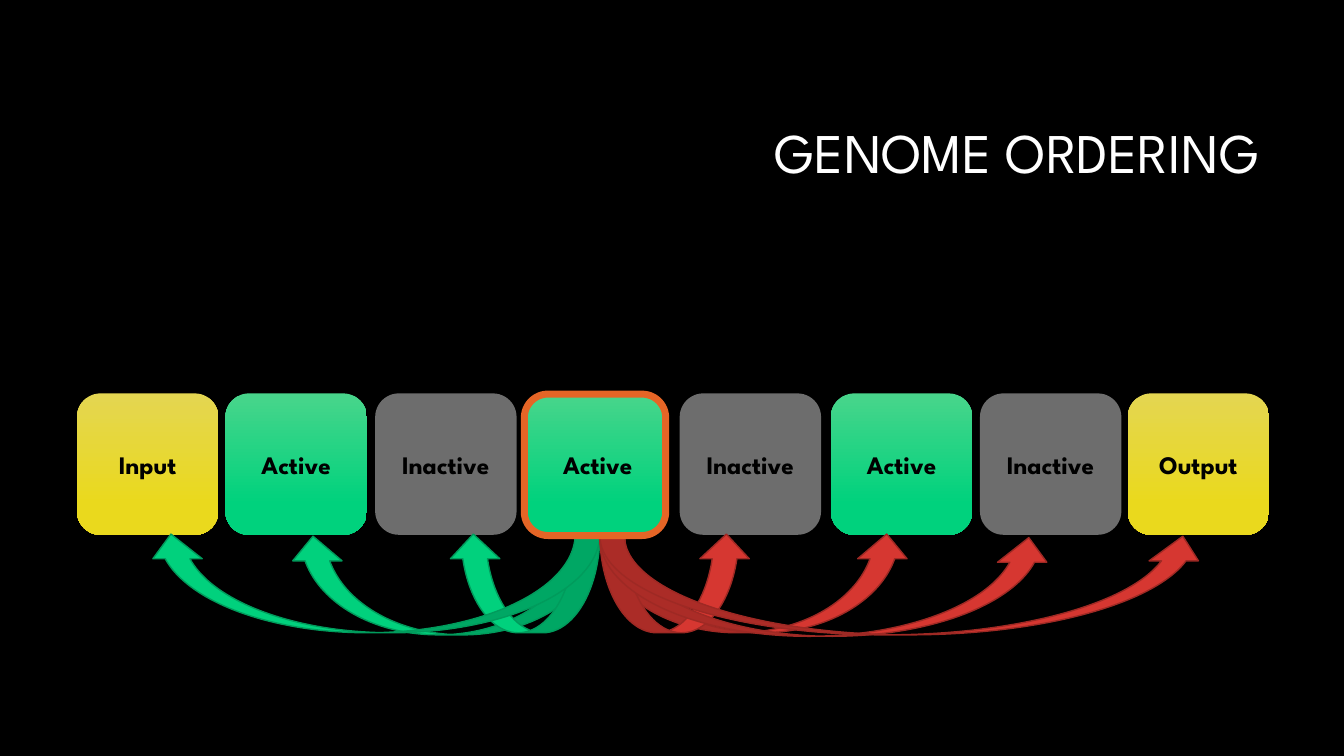
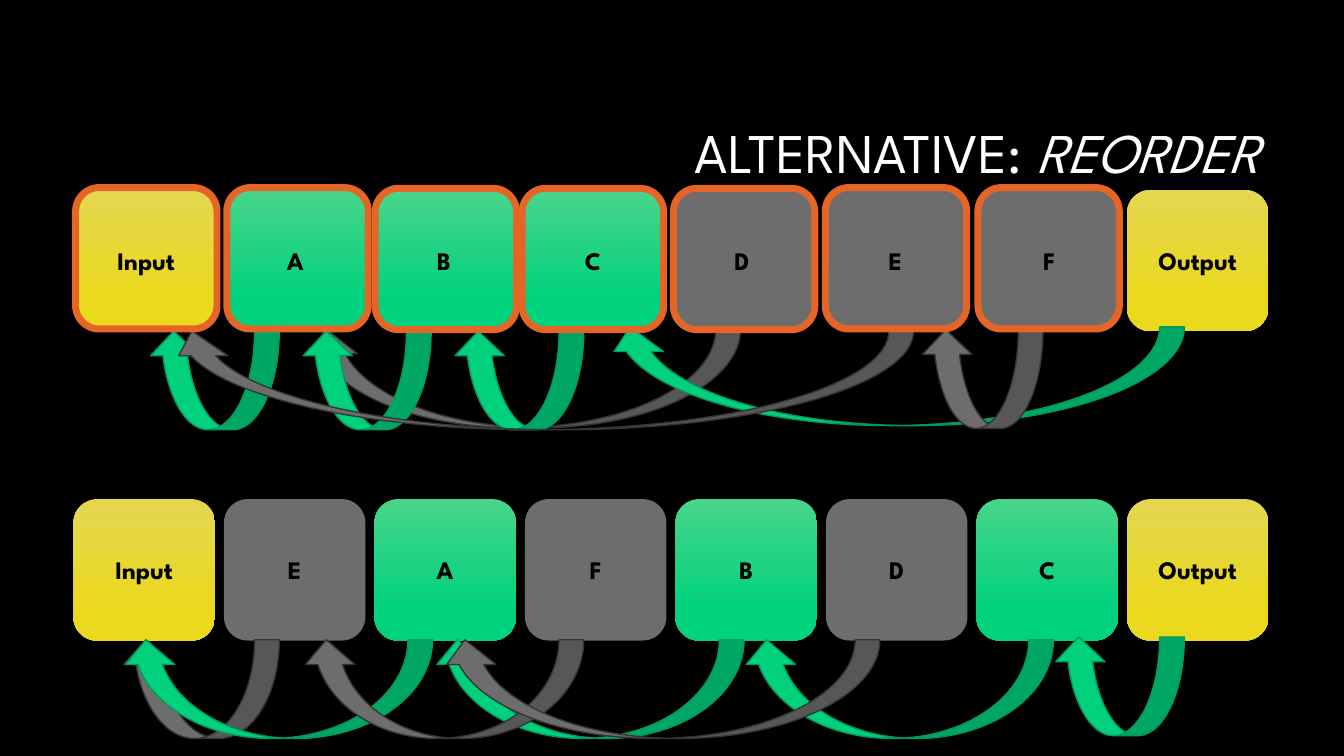
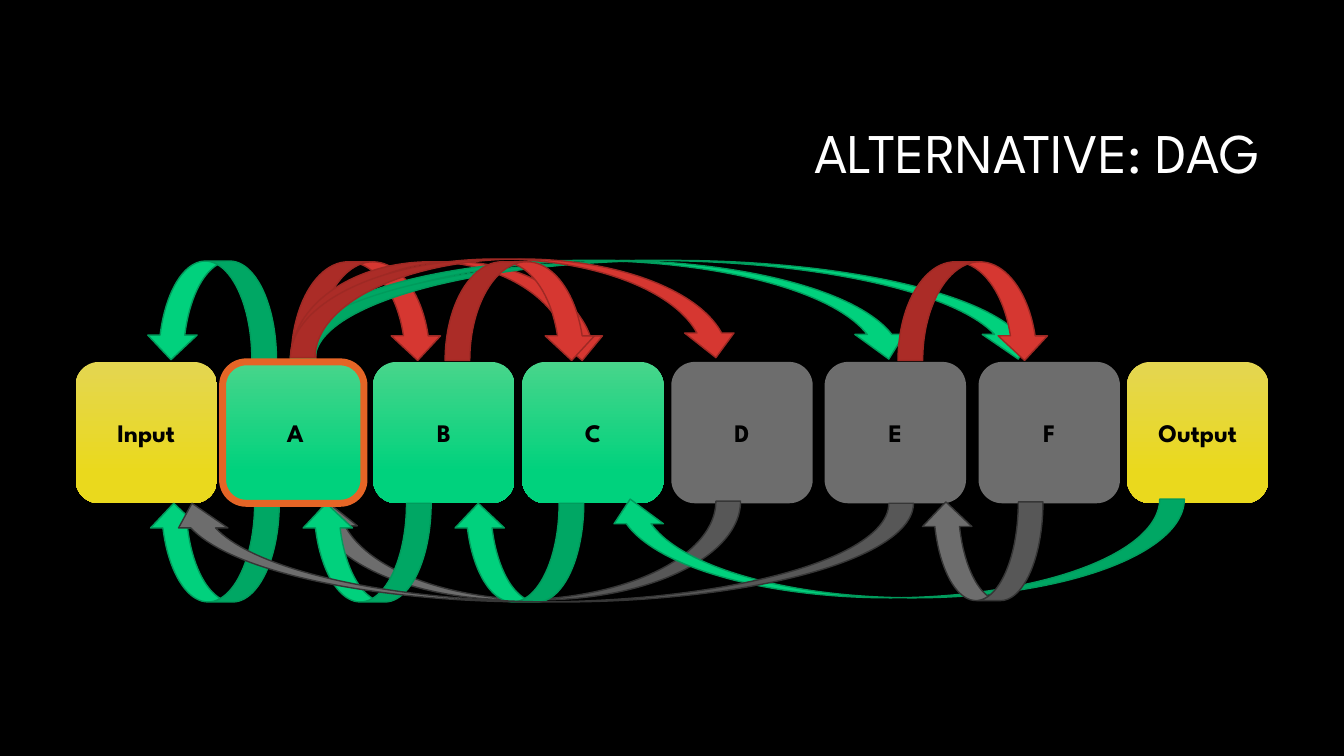
from dataclasses import dataclass

from pptx import Presentation
from pptx.dml.color import RGBColor
from pptx.enum.shapes import MSO_SHAPE
from pptx.enum.text import MSO_ANCHOR, PP_ALIGN
from pptx.util import Pt

ROUND = MSO_SHAPE.ROUNDED_RECTANGLE
CURVE = MSO_SHAPE.CURVED_UP_ARROW
MIDDLE = MSO_ANCHOR.MIDDLE
CENTER, RIGHT = PP_ALIGN.CENTER, PP_ALIGN.RIGHT

FONT = "League Spartan"
SIDE = 101
RISE = 70.5
HEX = {
    "back": "000000", "text": "000000", "title": "FFFFFF", "ring": "E56526",
    "end top": "E4D651", "end low": "EAD91D",
    "on top": "48D58B", "on low": "00D27D", "off": "6D6D6D",
    "green": "01D17D", "green edge": "019B5C",
    "red": "D63731", "red edge": "9E2924",
    "gray": "6D6D6D", "gray edge": "363636",
}


@dataclass(frozen=True)
class Gene:
    word: str
    tone: str


@dataclass(frozen=True)
class Arc:
    """An arrow from x = tail to x = head, dy below the top of its row."""
    hue: str
    tail: float
    head: float
    dy: float
    over: bool = False


@dataclass(frozen=True)
class Ring:
    left: float
    dy: float


@dataclass(frozen=True)
class Row:
    top: float
    lefts: list[float]
    genes: list[Gene]
    arcs: list[Arc]
    rings: list[Ring]


@dataclass(frozen=True)
class Page:
    title: str
    slant: str
    rows: list[Row]


def rgb(name: str) -> RGBColor:
    return RGBColor.from_string(HEX[name])


def line_up(words: str, tones: dict[str, str]) -> list[Gene]:
    """Pair each word with its tone; the first and last are ends."""
    return [Gene(word, tones.get(word, "end")) for word in words.split()]


def add_title(slide, page: Page) -> None:
    box = slide.shapes.add_textbox(Pt(228), Pt(60.5), Pt(678.5), Pt(101.5))
    frame = box.text_frame
    frame.word_wrap = True
    frame.vertical_anchor = MIDDLE
    para = frame.paragraphs[0]
    para.alignment = RIGHT
    para.line_spacing = 0.9
    para.font.name = FONT
    para.font.size = Pt(40)
    para.font.color.rgb = rgb("title")
    para.add_run().text = page.title
    if page.slant:
        run = para.add_run()
        run.text = page.slant
        run.font.italic = True


def add_tile(slide, left: float, top: float):
    tile = slide.shapes.add_shape(ROUND, Pt(left), Pt(top), Pt(SIDE), Pt(SIDE))
    tile.shadow.inherit = False
    return tile


def add_gene(slide, gene: Gene, left: float, top: float) -> None:
    tile = add_tile(slide, left, top)
    tile.line.fill.background()
    if gene.tone == "off":
        tile.fill.solid()
        tile.fill.fore_color.rgb = rgb("off")
    else:
        tile.fill.gradient()
        tile.fill.gradient_angle = 270
        for stop, part, spot in zip(tile.fill.gradient_stops, ("top", "low"), (0, 0.78)):
            stop.color.rgb = rgb(f"{gene.tone} {part}")
            stop.position = spot
    frame = tile.text_frame
    frame.word_wrap = False
    frame.vertical_anchor = MIDDLE
    para = frame.paragraphs[0]
    para.text = gene.word
    para.alignment = CENTER
    para.font.name = FONT
    para.font.size = Pt(18)
    para.font.bold = True
    para.font.color.rgb = rgb("text")


def add_arc(slide, arc: Arc, top: float) -> None:
    left, span = min(arc.tail, arc.head), abs(arc.head - arc.tail)
    shape = slide.shapes.add_shape(CURVE, Pt(left), Pt(top + arc.dy), Pt(span), Pt(RISE))
    shape.shadow.inherit = False
    shape.fill.solid()
    shape.fill.fore_color.rgb = rgb(arc.hue)
    shape.line.color.rgb = rgb(f"{arc.hue} edge")
    shape.line.width = Pt(1)
    frame = shape._element.spPr.xfrm
    if arc.head < arc.tail:
        frame.set("flipH", "1")
    if arc.over:
        frame.set("flipV", "1")


def add_ring(slide, ring: Ring, top: float) -> None:
    tile = add_tile(slide, ring.left, top + ring.dy)
    tile.fill.background()
    tile.line.color.rgb = rgb("ring")
    tile.line.width = Pt(5)


def add_row(slide, row: Row) -> None:
    for gene, left in zip(row.genes, row.lefts):
        add_gene(slide, gene, left, row.top)
    for arc in row.arcs:
        add_arc(slide, arc, row.top)
    for ring in row.rings:
        add_ring(slide, ring, row.top)


STATE = {"Active": "on", "Inactive": "off"}
NODE = dict.fromkeys("ABC", "on") | dict.fromkeys("DEF", "off")
HUB = 428.5
FORK = 207.5

ORDER = Row(
    281, [55, 161, 268, 376.5, 485.5, 593.5, 700, 805.5],
    line_up("Input Active Inactive Active Inactive Active Inactive Output", STATE),
    [
        Arc("green", HUB, 206, 102),
        Arc("green", HUB, 320.5, 100.5),
        Arc("green", HUB, 104.5, 100.5),
        Arc("red", HUB, 651, 100.5),
        Arc("red", HUB, 536.5, 100.5),
        Arc("red", HUB, 752.5, 103),
        Arc("red", HUB, 862.5, 102),
    ],
    [Ring(374.5, 0.5)],
)

CHAIN_LEFTS = [54, 160.5, 266.5, 373, 479.5, 589, 699, 805]
CHAIN = line_up("Input A B C D E F Output", NODE)
LINKS = [
    Arc("gray", 529, 215.5, 99.5),
    Arc("green", 846, 432.5, 98),
    Arc("green", 199.5, 106.5, 101),
    Arc("green", 308, 215.5, 101),
    Arc("green", 417, 324, 101),
    Arc("gray", 652.5, 119.5, 101),
    Arc("gray", 745, 658, 100),
]

BEFORE = Row(
    135.5, CHAIN_LEFTS, CHAIN, LINKS,
    [Ring(left, -1.5) for left in (54, 162, 589.5, 698.5)]
    + [Ring(left, -1) for left in (268, 373, 481)],
)

AFTER = Row(
    356.5, [52.5 + 107.5 * i for i in range(8)],
    line_up("Input E A F B D C Output", NODE),
    [
        Arc("gray", 199.5, 87, 100.5),
        Arc("green", 309, 86.5, 100.5),
        Arc("green", 531.5, 309, 100.5),
        Arc("green", 752.5, 530, 100.5),
        Arc("green", 846, 753, 98.5),
        Arc("gray", 417, 215.5, 100.5),
        Arc("gray", 628.5, 314.5, 100.5),
    ],
    [],
)

GRAPH = Row(
    258.5, CHAIN_LEFTS, CHAIN,
    LINKS + [
        Arc("green", 197.5, 104.5, -72, True),
        Arc("red", 208, 316, -71.5, True),
        Arc("red", FORK, 433.5, -71.5, True),
        Arc("green", FORK, 652.5, -72.5, True),
        Arc("green", FORK, 745, -72.5, True),
        Arc("red", FORK, 529, -73.5, True),
        Arc("red", 318, 426, -71.5, True),
        Arc("red", 641.5, 749.5, -71.5, True),
    ],
    [Ring(159, 0)],
)

PAGES = [
    Page("GENOME ORDERING", "", [ORDER]),
    Page("ALTERNATIVE: ", "REORDER", [BEFORE, AFTER]),
    Page("ALTERNATIVE: DAG", "", [GRAPH]),
]


def main() -> None:
    deck = Presentation()
    deck.slide_width, deck.slide_height = Pt(960), Pt(540)
    for page in PAGES:
        slide = deck.slides.add_slide(deck.slide_layouts[6])
        slide.background.fill.solid()
        slide.background.fill.fore_color.rgb = rgb("back")
        add_title(slide, page)
        for row in page.rows:
            add_row(slide, row)
    deck.save("out.pptx")


if __name__ == "__main__":
    main()
